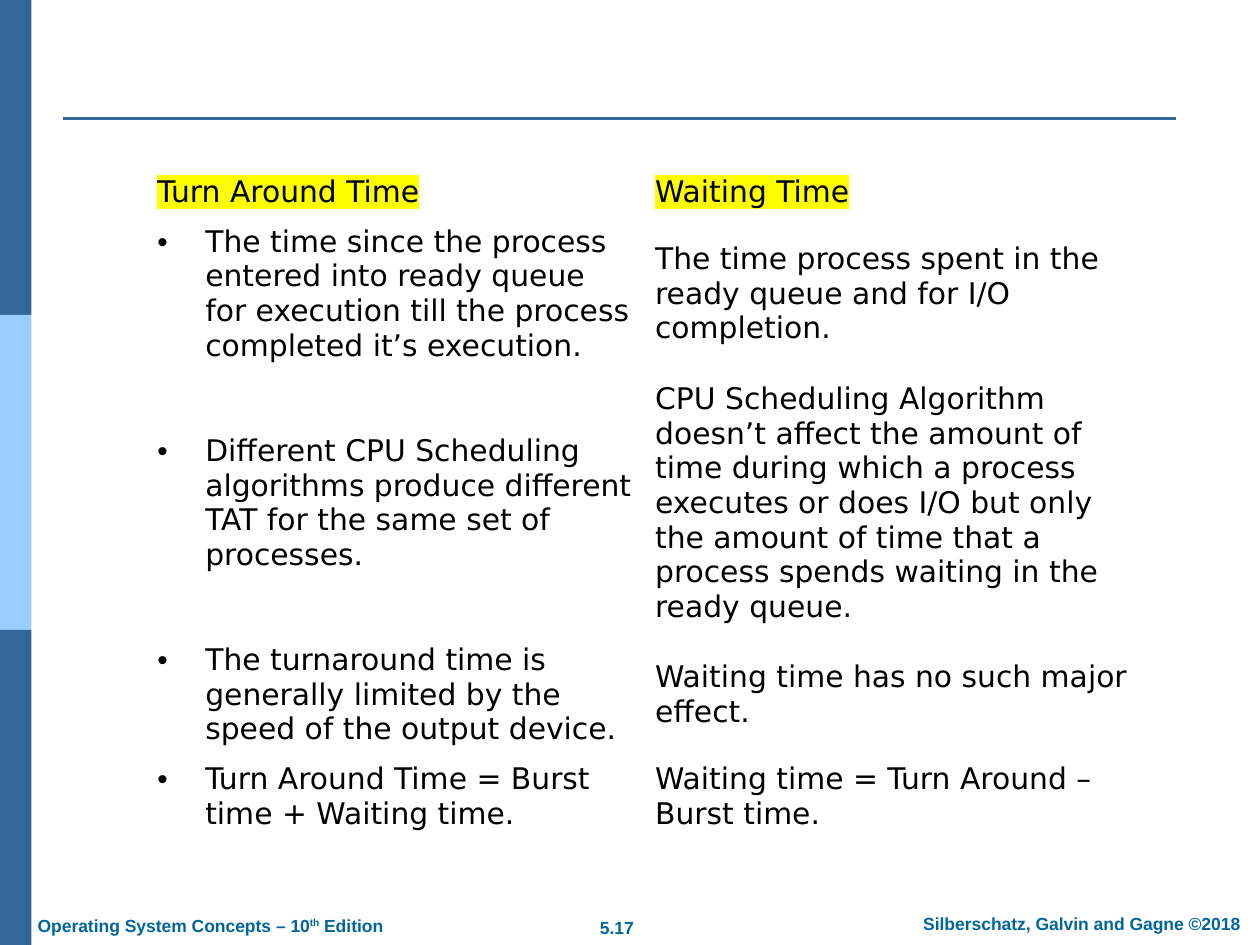
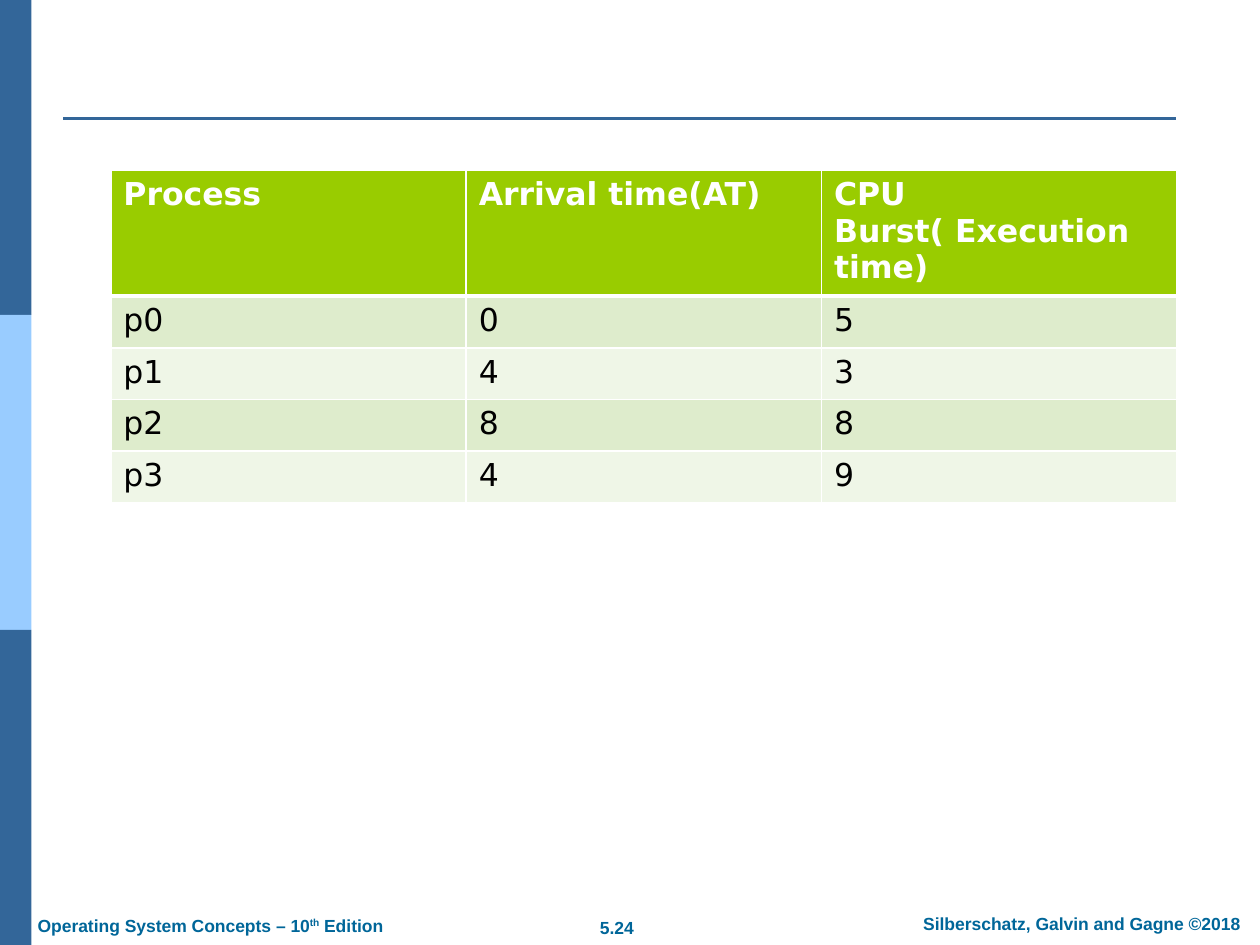
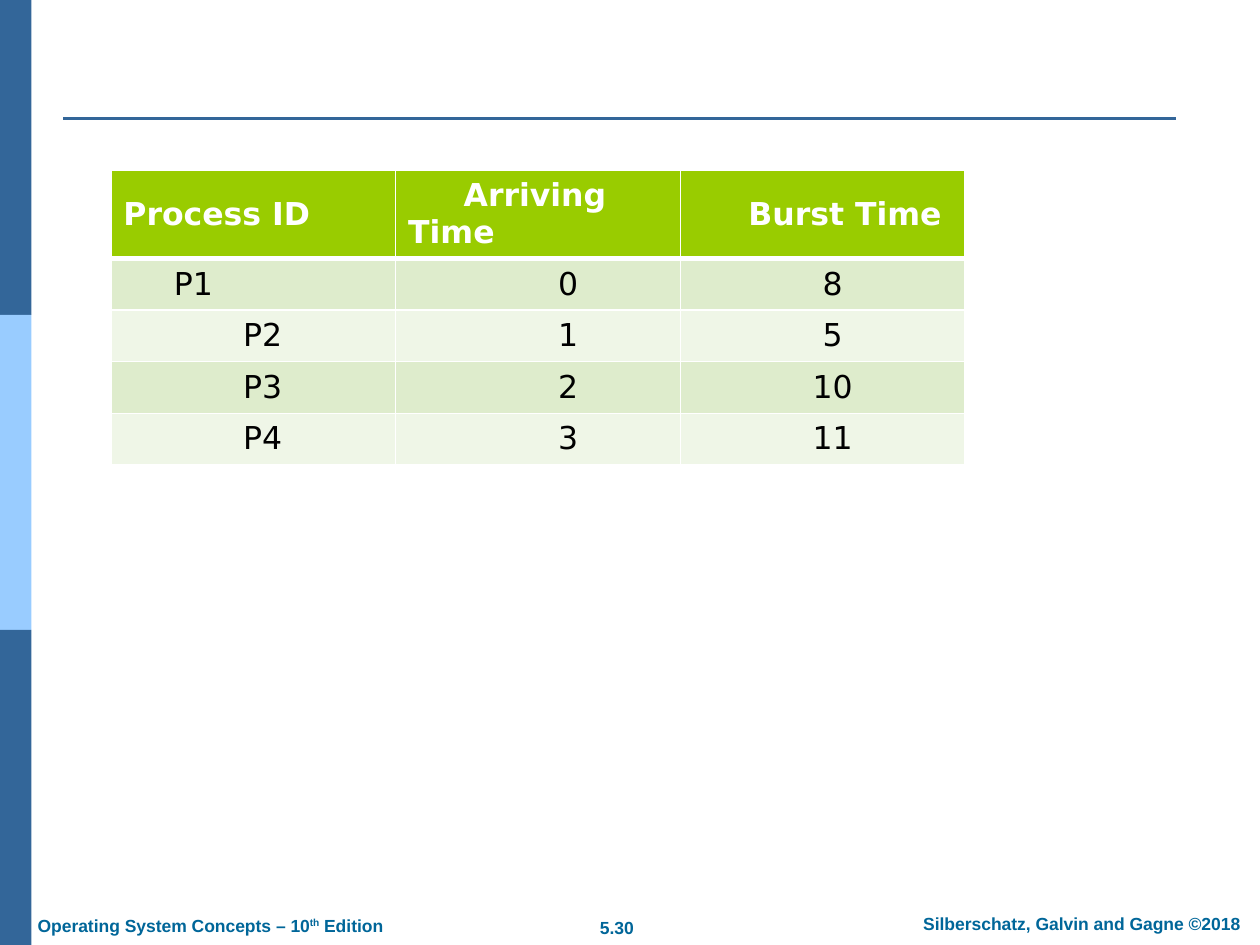
"""Build three CPU scheduling slides: time definitions and two process tables."""
from lxml.etree import SubElement
from pptx import Presentation
from pptx.dml.color import RGBColor
from pptx.enum.shapes import MSO_CONNECTOR as Connector, MSO_SHAPE as Shape
from pptx.enum.text import MSO_ANCHOR as Anchor, PP_ALIGN as Align
from pptx.oxml import parse_xml
from pptx.oxml.ns import nsdecls, qn
from pptx.util import Inches, Pt

BLUE = RGBColor(0x33, 0x66, 0x99)
LIGHT_BLUE = RGBColor(0x99, 0xCC, 0xFF)
FOOTER_BLUE = RGBColor(0x00, 0x66, 0x99)
GREEN = RGBColor(0x99, 0xCC, 0x00)
BANDS = [RGBColor(0xDE, 0xEC, 0xCC), RGBColor(0xEF, 0xF6, 0xE7)]
WHITE = RGBColor(0xFF, 0xFF, 0xFF)
BLACK = RGBColor(0x00, 0x00, 0x00)
YELLOW = RGBColor(0xFF, 0xFF, 0x00)
NO_STYLE = "{2D5ABB26-0587-4C30-8999-92F81FD0307C}"

FOOTER_FONT = {"name": "Arial", "size": Pt(10), "bold": True}
COMPARISON_FONT = {"name": "DejaVu Sans", "size": Pt(17), "bold": False}
HEADER_FONT = {"name": "DejaVu Sans", "size": Pt(18), "bold": True}
BODY_FONT = {**HEADER_FONT, "bold": False}


def write(paragraph, text, font, color):
    run = paragraph.add_run()
    run.text = text
    for key, value in font.items():
        setattr(run.font, key, value)
    run.font.color.rgb = color
    return run


def add_plain_table(slide, left, top, column_width, heights, column_count):
    frame = slide.shapes.add_table(
        len(heights), column_count, Inches(left), Inches(top),
        Inches(column_width * column_count), Inches(sum(heights)))
    table = frame.table
    frame._element.find(".//" + qn("a:tableStyleId")).text = NO_STYLE
    for column in table.columns:
        column.width = Inches(column_width)
    for row, height in zip(table.rows, heights):
        row.height = Inches(height)
    return table


prs = Presentation()
prs.slide_width, prs.slide_height = Inches(10), Inches(7.5)
slides = []

for page in ["5.17", "5.24", "5.30"]:
    slide = prs.slides.add_slide(prs.slide_layouts[6])
    slides.append(slide)
    for index, color in enumerate([BLUE, LIGHT_BLUE, BLUE]):
        band = slide.shapes.add_shape(
            Shape.RECTANGLE, 0, Inches(2.5 * index), Inches(0.25), Inches(2.5))
        band.shadow.inherit = False
        band.fill.solid()
        band.fill.fore_color.rgb = color
        band.line.fill.background()
    rule = slide.shapes.add_connector(
        Connector.STRAIGHT, Inches(0.5), Inches(0.94), Inches(9.33), Inches(0.94))
    rule.line.color.rgb = BLUE
    rule.line.width = Pt(1.5)
    SubElement(rule._element.spPr, qn("a:effectLst"))

    footers = [
        (4.65, 7.23, 0.49, Align.CENTER, False, [page]),
        (7.1, 7.2, 2.97, Align.CENTER, True, ["Silberschatz, Galvin and Gagne ©2018"]),
        (0.2, 7.21, 2.99, Align.LEFT, False,
         ["Operating System Concepts – 10", "th", " Edition"]),
    ]
    for left, top, width, alignment, wrap, parts in footers:
        footer = slide.shapes.add_textbox(
            Inches(left), Inches(top), Inches(width), Inches(0.27)).text_frame
        footer.word_wrap = wrap
        line = footer.paragraphs[0]
        line.alignment = alignment
        for part in parts:
            run = write(line, part, FOOTER_FONT, FOOTER_BLUE)
            if part == "th":
                run.font._element.set("baseline", "30000")

comparison = [
    ("Turn Around Time", "Waiting Time"),
    ("The time since the process entered into ready queue for execution till the "
     "process completed it’s execution.",
     "The time process spent in the ready queue and for I/O completion."),
    ("Different CPU Scheduling algorithms produce different TAT for the same set of "
     "processes.",
     "CPU Scheduling Algorithm doesn’t affect the amount of time during which a "
     "process executes or does I/O but only the amount of time that a process spends "
     "waiting in the ready queue."),
    ("The turnaround time is generally limited by the speed of the output device.",
     "Waiting time has no such major effect."),
    ("Turn Around Time = Burst time + Waiting time.",
     "Waiting time = Turn Around – Burst time."),
]
table = add_plain_table(slides[0], 1.16, 1.33, 3.95, [0.37, 1.22, 2.09, 0.93, 0.65], 2)
for r, texts in enumerate(comparison):
    for c, text in enumerate(texts):
        cell = table.cell(r, c)
        cell.vertical_anchor = Anchor.MIDDLE
        cell.margin_left = cell.margin_right = Inches(0.09)
        cell.fill.background()
        paragraph = cell.text_frame.paragraphs[0]
        if r and c == 0:
            properties = paragraph._p.get_or_add_pPr()
            properties.set("marL", str(Inches(0.38)))
            properties.set("indent", str(Inches(-0.38)))
            SubElement(properties, qn("a:buFont"), typeface="Arial")
            SubElement(properties, qn("a:buChar"), char="•")
        run = write(paragraph, text, COMPARISON_FONT, BLACK)
        if r == 0:
            run.font._element.find(qn("a:solidFill")).addnext(parse_xml(
                f'<a:highlight {nsdecls("a")}><a:srgbClr val="{YELLOW}"/></a:highlight>'))

arrivals = [
    ("Process", "Arrival time(AT)", "CPU Burst( Execution time)"),
    ("p0", "0", "5"),
    ("p1", "4", "3"),
    ("p2", "8", "8"),
    ("p3", "4", "9"),
]
bursts = [
    ("Process ID", "Arriving Time", "Burst Time"),
    ("P1", "0", "8"),
    ("P2", "1", "5"),
    ("P3", "2", "10"),
    ("P4", "3", "11"),
]
no_indents = [(0, 0, 0)] * 5
burst_indents = [(0, 0.44, 0.44), (0.4, 1.19, 1.03), (0.95, 1.19, 1.03),
                 (0.95, 1.19, 0.95), (0.95, 1.19, 0.95)]
process_tables = [
    (slides[1], arrivals, no_indents, 2.82, 0.99, Anchor.TOP),
    (slides[2], bursts, burst_indents, 2.26, 0.69, Anchor.MIDDLE),
]
for slide, rows, indents, column_width, header_height, anchor in process_tables:
    table = add_plain_table(
        slide, 0.88, 1.35, column_width, [header_height] + [0.41] * 4, 3)
    for r, texts in enumerate(rows):
        for c, text in enumerate(texts):
            cell = table.cell(r, c)
            cell.vertical_anchor = anchor
            cell.fill.solid()
            cell.fill.fore_color.rgb = BANDS[(r - 1) % 2] if r else GREEN
            widths = {"L": 1, "R": 1, "T": 3 if r == 1 else 1, "B": 1 if r else 3}
            for position, (side, width) in enumerate(widths.items()):
                cell._tc.tcPr.insert(position, parse_xml(
                    f'<a:ln{side} {nsdecls("a")} w="{Pt(width)}"><a:solidFill>'
                    f'<a:srgbClr val="{WHITE}"/></a:solidFill></a:ln{side}>'))
            paragraph = cell.text_frame.paragraphs[0]
            if indents[r][c]:
                paragraph._p.get_or_add_pPr().set("indent", str(Inches(indents[r][c])))
            write(paragraph, text, BODY_FONT if r else HEADER_FONT, BLACK if r else WHITE)

prs.save("out.pptx")
